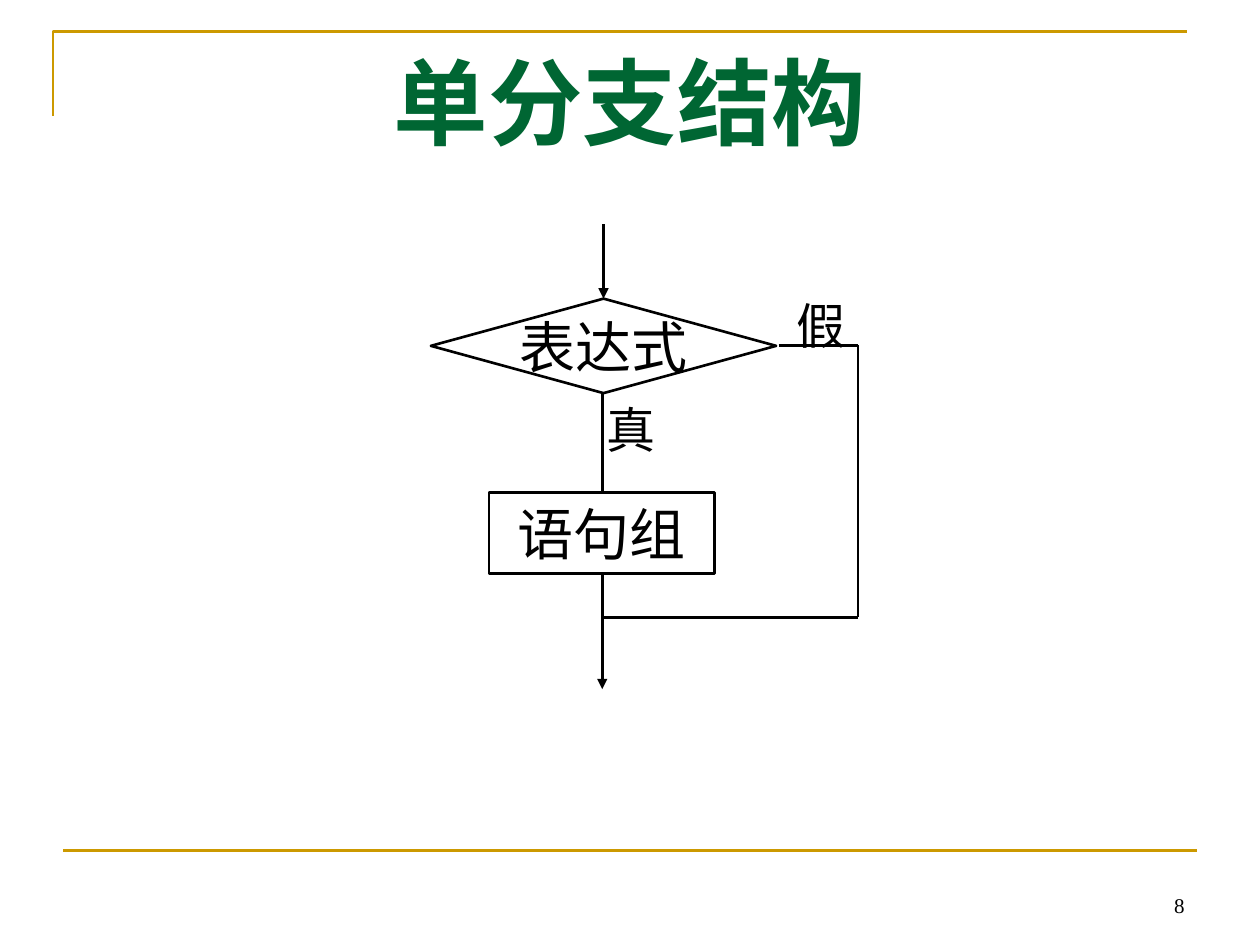
from pptx import Presentation
from pptx.dml.color import RGBColor
from pptx.enum.shapes import MSO_CONNECTOR, MSO_SHAPE
from pptx.enum.text import MSO_ANCHOR, PP_ALIGN
from pptx.oxml.ns import qn
from pptx.util import Inches, Pt
from lxml import etree

GOLD = RGBColor(0xCC, 0x99, 0x00)
GREEN = RGBColor(0x00, 0x66, 0x33)
BLACK = RGBColor(0x00, 0x00, 0x00)
WHITE = RGBColor(0xFF, 0xFF, 0xFF)
CJK = "Noto Sans CJK SC"


def set_text(sp, text, size, font=CJK, color=BLACK, bold=False,
             align=PP_ALIGN.CENTER, anchor=MSO_ANCHOR.MIDDLE, wrap=True, pad=0.05):
    tf = sp.text_frame
    tf.text = text
    tf.word_wrap = wrap
    tf.vertical_anchor = anchor
    tf.margin_left = tf.margin_right = Inches(0.1)
    tf.margin_top = tf.margin_bottom = Inches(pad)
    p = tf.paragraphs[0]
    p.alignment = align
    r = p.runs[0]
    r.font.size = Pt(size)
    r.font.name = font
    r.font.bold = bold
    r.font.color.rgb = color
    ea = etree.Element(qn("a:ea"), typeface=CJK)
    r.font._element.find(qn("a:latin")).addnext(ea)


def add_line(shapes, x1, y1, x2, y2, color=BLACK, arrow=False):
    line = shapes.add_connector(MSO_CONNECTOR.STRAIGHT, Inches(x1), Inches(y1),
                                Inches(x2), Inches(y2))
    line.line.color.rgb = color
    line.line.width = Pt(1.5)
    if arrow:
        etree.SubElement(line.line._get_or_add_ln(), qn("a:tailEnd"), type="triangle")
    etree.SubElement(line._element.spPr, qn("a:effectLst"))


def add_node(shapes, kind, left, top, width, height, fill=None):
    sp = shapes.add_shape(kind, Inches(left), Inches(top), Inches(width), Inches(height))
    sp.shadow.inherit = False
    if fill is None:
        sp.fill.background()
    else:
        sp.fill.solid()
        sp.fill.fore_color.rgb = fill
    sp.line.color.rgb = BLACK
    sp.line.width = Pt(1.5)
    return sp


def add_label(shapes, text, size, left, top, width, height, **style):
    sp = shapes.add_textbox(Inches(left), Inches(top), Inches(width), Inches(height))
    set_text(sp, text, size, **style)


def add_frame(shapes, left, top, width, height):
    corner = shapes.build_freeform(Inches(left), Inches(top + 0.67))
    corner.add_line_segments([(Inches(left), Inches(top)),
                              (Inches(left + width), Inches(top))], close=False)
    sp = corner.convert_to_shape()
    sp.shadow.inherit = False
    sp.fill.background()
    sp.line.color.rgb = GOLD
    sp.line.width = Pt(1.5)
    base = top + height
    add_line(shapes, left + 0.08, base, left + 0.08 + width, base, GOLD)
    add_label(shapes, "8", 12, left + 6.75, base + 0.08, 2.33, 0.5,
              font="Times New Roman", align=PP_ALIGN.RIGHT, anchor=MSO_ANCHOR.BOTTOM)


def add_title(title, left, top, width, height):
    title.left, title.top = Inches(left), Inches(top)
    title.width, title.height = Inches(width), Inches(height)
    set_text(title, "单分支结构", 54, font="Times New Roman", color=GREEN, bold=True,
             anchor=MSO_ANCHOR.TOP)


def add_flowchart(shapes, left, top, width, height):
    axis = left + 1.36
    right = left + width
    decision_top = top + 0.59
    decision_mid = decision_top + 0.37
    decision_bottom = decision_top + 0.75
    block_top = top + 2.13
    block_bottom = block_top + 0.64
    merge = top + 3.12

    add_line(shapes, axis, block_bottom, axis, top + height, arrow=True)
    decision = add_node(shapes, MSO_SHAPE.FLOWCHART_DECISION,
                        left, decision_top, 2.74, 0.75, WHITE)
    set_text(decision, "表达式", 32, font="Arial", wrap=False, pad=0.01)
    block = add_node(shapes, MSO_SHAPE.RECTANGLE, axis - 0.9, block_top, 1.79, 0.64)
    set_text(block, "语句组", 32)

    add_line(shapes, axis, decision_bottom, axis, block_top)
    add_line(shapes, left + 2.76, decision_mid, right, decision_mid)
    add_line(shapes, axis + 0.01, top, axis + 0.01, decision_top, arrow=True)
    add_line(shapes, right, decision_mid, right, merge)
    add_line(shapes, right, merge, axis + 0.01, merge)

    add_label(shapes, "真", 28, axis - 0.07, decision_bottom, 0.59, 0.57, wrap=False)
    add_label(shapes, "假", 28, right - 0.61, decision_mid - 0.45, 0.63, 0.57)


def main():
    prs = Presentation()
    prs.slide_width, prs.slide_height = Inches(10), Inches(7.5)
    s = prs.slides.add_slide(prs.slide_layouts[5])
    add_frame(s.shapes, 0.42, 0.25, 9, 6.5)
    add_title(s.shapes.title, 0.5, 0.3, 9, 1.25)
    add_flowchart(s.shapes, 3.42, 1.78, 3.39, 3.69)
    prs.save("out.pptx")


if __name__ == "__main__":
    main()
